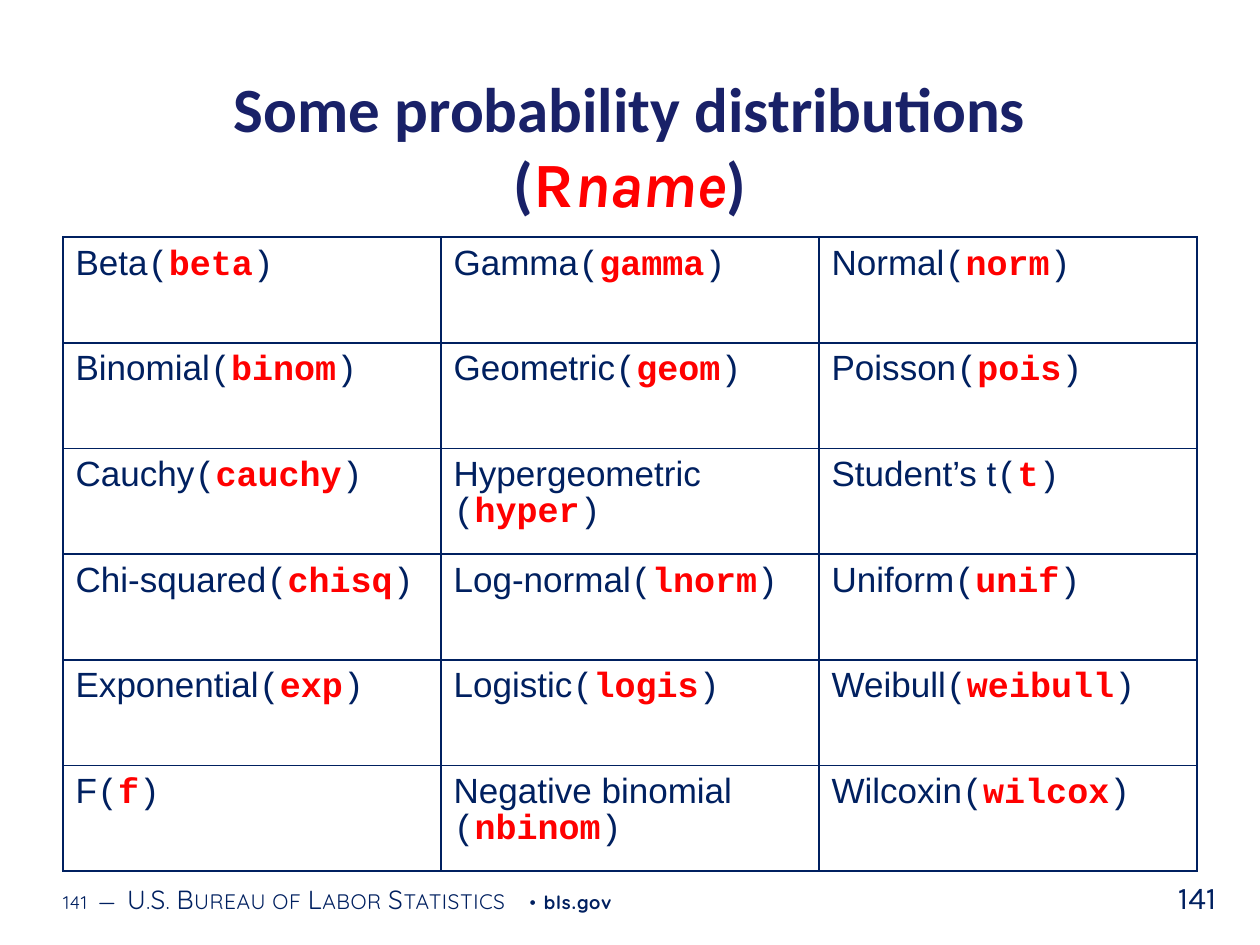
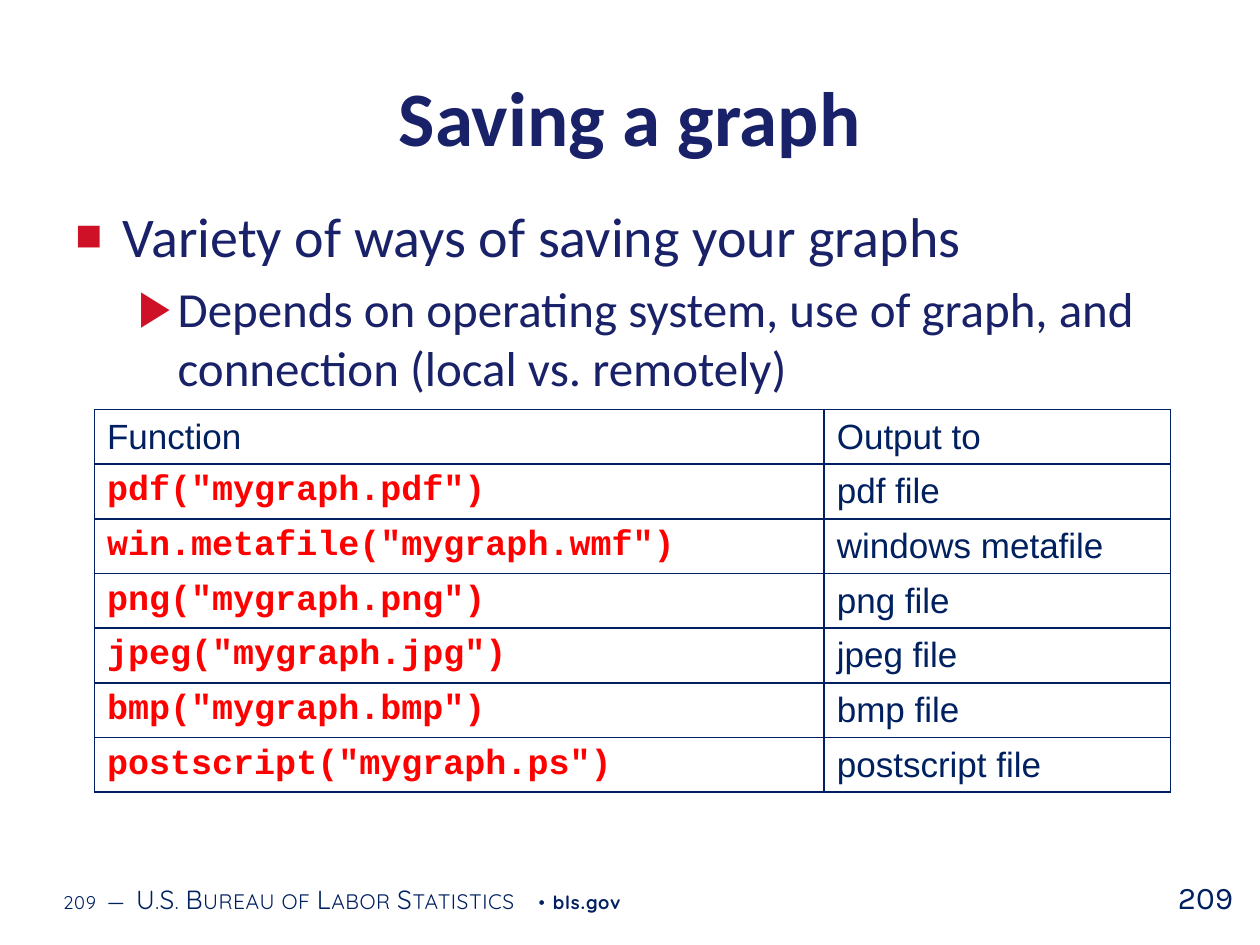
from lxml.etree import SubElement
from pptx import Presentation
from pptx.dml.color import RGBColor
from pptx.enum.text import MSO_ANCHOR, PP_ALIGN
from pptx.oxml.ns import qn
from pptx.util import Pt

NAVY = RGBColor(0x00, 0x20, 0x60)
INDIGO = RGBColor(0x19, 0x21, 0x68)
RED = RGBColor(0xFF, 0x00, 0x00)
CRIMSON = RGBColor(0xCE, 0x11, 0x26)

# Text formats: "color" and the XML attributes "spc" and "cap" sit beside font attributes.
HEADING = {"name": "Calibri", "bold": True, "color": INDIGO}
PLAIN = {"name": "Arial", "size": Pt(20), "color": NAVY}
BRACKET = {**PLAIN, "name": "Courier New"}
CODE = {**BRACKET, "bold": True, "color": RED}
PAGE_NUMBER = {"name": "Karla", "size": Pt(18), "color": NAVY}
FOOTER_SMALL = {"name": "Quicksand", "size": Pt(10.5), "color": NAVY, "spc": "50"}
FOOTER_GAP = {**FOOTER_SMALL, "size": Pt(16)}
FOOTER_AGENCY = {**FOOTER_SMALL, "size": Pt(15), "spc": "30", "cap": "small"}
FOOTER_SITE = {**FOOTER_SMALL, "bold": True}

DISTRIBUTION_TITLE_FORMAT = {**HEADING, "size": Pt(36)}
R_NAME = {**DISTRIBUTION_TITLE_FORMAT, "name": "Karla", "color": RED}
DISTRIBUTION_TITLE = [
    ("Some probability distributions\n(", DISTRIBUTION_TITLE_FORMAT),
    ("R", R_NAME),
    ("name", {**R_NAME, "italic": True}),
    (")", DISTRIBUTION_TITLE_FORMAT),
]
# A name ending in a newline puts its R name in a paragraph of its own.
DISTRIBUTIONS = [
    [("Beta", "beta"), ("Gamma", "gamma"), ("Normal", "norm")],
    [("Binomial", "binom"), ("Geometric", "geom"), ("Poisson", "pois")],
    [("Cauchy", "cauchy"), ("Hypergeometric\n", "hyper"), ("Student’s t", "t")],
    [("Chi-squared", "chisq"), ("Log-normal", "lnorm"), ("Uniform", "unif")],
    [("Exponential", "exp"), ("Logistic", "logis"), ("Weibull", "weibull")],
    [("F", "f"), ("Negative binomial ", "nbinom"), ("Wilcoxin", "wilcox")],
]

SAVING_TITLE = [("Saving a graph", {**HEADING, "size": Pt(44)})]
# Text, size, left margin, hanging indent, bullet, bullet size in percent
SAVING_POINTS = [
    ("Variety of ways of saving your graphs", 32, 27, 27, "■", 80),
    ("Depends on operating system, use of graph, and connection (local vs. remotely)",
     28, 58.5, 22.5, "▶", 100),
]
OUTPUT_HEADINGS = ("Function", "Output to")
OUTPUT_FUNCTIONS = [
    ('pdf("mygraph.pdf")', "pdf file"),
    ('win.metafile("mygraph.wmf")', "windows metafile"),
    ('png("mygraph.png")', "png file"),
    ('jpeg("mygraph.jpg")', "jpeg file"),
    ('bmp("mygraph.bmp")', "bmp file"),
    ('postscript("mygraph.ps")', "postscript file"),
]


def add_runs(paragraph, runs):
    for text, text_format in runs:
        for index, line in enumerate(text.split("\n")):
            if index:
                paragraph.add_line_break()
            run = paragraph.add_run()
            run.text = line
            for name, value in text_format.items():
                if name == "color":
                    run.font.color.rgb = value
                elif name in ("spc", "cap"):
                    run.font._element.set(name, value)
                else:
                    setattr(run.font, name, value)


def write_paragraphs(text_frame, paragraphs):
    """Fill an empty text frame and return its paragraphs."""
    for index, runs in enumerate(paragraphs):
        paragraph = text_frame.add_paragraph() if index else text_frame.paragraphs[0]
        add_runs(paragraph, runs)
    return text_frame.paragraphs


def add_text(slide, box, paragraphs, **frame_format):
    text_frame = slide.shapes.add_textbox(*map(Pt, box)).text_frame
    for name, value in {"word_wrap": True, **frame_format}.items():
        setattr(text_frame, name, value)
    return write_paragraphs(text_frame, paragraphs)


def add_framed_slide(presentation, title, number):
    """Add a slide with its title, footer and page number."""
    slide = presentation.slides.add_slide(presentation.slide_layouts[6])
    footer = [
        (number, FOOTER_SMALL),
        ("\u2004", FOOTER_GAP),
        ("—", FOOTER_AGENCY),
        ("\u2004", FOOTER_GAP),
        ("U.S. Bureau of Labor Statistics", FOOTER_AGENCY),
        ("\u2004•\u2004", FOOTER_SMALL),
        ("bls.gov", FOOTER_SITE),
    ]
    add_text(slide, (31, 499, 456, 29), [footer],
             vertical_anchor=MSO_ANCHOR.MIDDLE,
             margin_left=Pt(5), margin_right=Pt(5),
             margin_top=Pt(3), margin_bottom=Pt(3))
    add_text(slide, (36, 36, 648, 63), [title])[0].alignment = PP_ALIGN.CENTER
    add_text(slide, (666, 498, 54, 29), [[(number, PAGE_NUMBER)]])
    return slide


def add_bullet(paragraph, margin, hanging, character, percent):
    properties = paragraph._p.get_or_add_pPr()
    properties.set("marL", str(Pt(margin)))
    properties.set("indent", str(-Pt(hanging)))
    color = SubElement(properties, qn("a:buClr"))
    SubElement(color, qn("a:srgbClr"), val=str(CRIMSON))
    SubElement(properties, qn("a:buSzPct"), val=str(percent * 1000))
    SubElement(properties, qn("a:buFont"), typeface="Arial")
    SubElement(properties, qn("a:buChar"), char=character)


def add_borders(cell):
    properties = cell._tc.get_or_add_tcPr()
    for side in ("a:lnL", "a:lnR", "a:lnT", "a:lnB"):
        line = SubElement(properties, qn(side), w=str(Pt(1)))
        fill = SubElement(line, qn("a:solidFill"))
        SubElement(fill, qn("a:srgbClr"), val=str(NAVY))


def add_ruled_table(slide, left, top, widths, row_height, rows, anchor):
    """Add a table; each entry of rows is a list of cells, each a list of paragraphs."""
    table = slide.shapes.add_table(
        len(rows), len(widths), Pt(left), Pt(top),
        Pt(sum(widths)), Pt(row_height * len(rows))).table
    table.first_row = table.horz_banding = False
    for column, width in zip(table.columns, widths):
        column.width = Pt(width)
    for row, contents in zip(table.rows, rows):
        row.height = Pt(row_height)
        for cell, paragraphs in zip(row.cells, contents):
            cell.vertical_anchor = anchor
            add_borders(cell)
            cell.fill.background()
            write_paragraphs(cell.text_frame, paragraphs)


def distribution_paragraphs(name, r_name):
    label = [(name.rstrip("\n"), PLAIN)]
    code = [("(", BRACKET), (r_name, CODE), (")", BRACKET)]
    return [label, code] if name.endswith("\n") else [label + code]


def build_distributions(presentation):
    slide = add_framed_slide(presentation, DISTRIBUTION_TITLE, "141")
    rows = [[distribution_paragraphs(*entry) for entry in row] for row in DISTRIBUTIONS]
    add_ruled_table(slide, 36, 135.5, [216] * 3, 60.4, rows, MSO_ANCHOR.TOP)


def build_saving(presentation):
    slide = add_framed_slide(presentation, SAVING_TITLE, "209")
    body = [[(text, {"name": "Calibri", "size": Pt(size), "color": INDIGO})]
            for text, size, *_ in SAVING_POINTS]
    paragraphs = add_text(slide, (36, 111.6, 648, 314.6), body)
    for paragraph, (_, size, *bullet) in zip(paragraphs, SAVING_POINTS):
        paragraph.space_before = Pt(0.2 * size)
        add_bullet(paragraph, *bullet)
    rows = [[[[(heading, PLAIN)]] for heading in OUTPUT_HEADINGS]]
    rows += [[[[(function, CODE)]], [[(output, PLAIN)]]]
             for function, output in OUTPUT_FUNCTIONS]
    add_ruled_table(slide, 54, 234, [417, 198], 29.9, rows, MSO_ANCHOR.MIDDLE)


def main():
    presentation = Presentation()
    presentation.slide_width, presentation.slide_height = Pt(720), Pt(540)
    build_distributions(presentation)
    build_saving(presentation)
    presentation.save("out.pptx")


if __name__ == "__main__":
    main()
